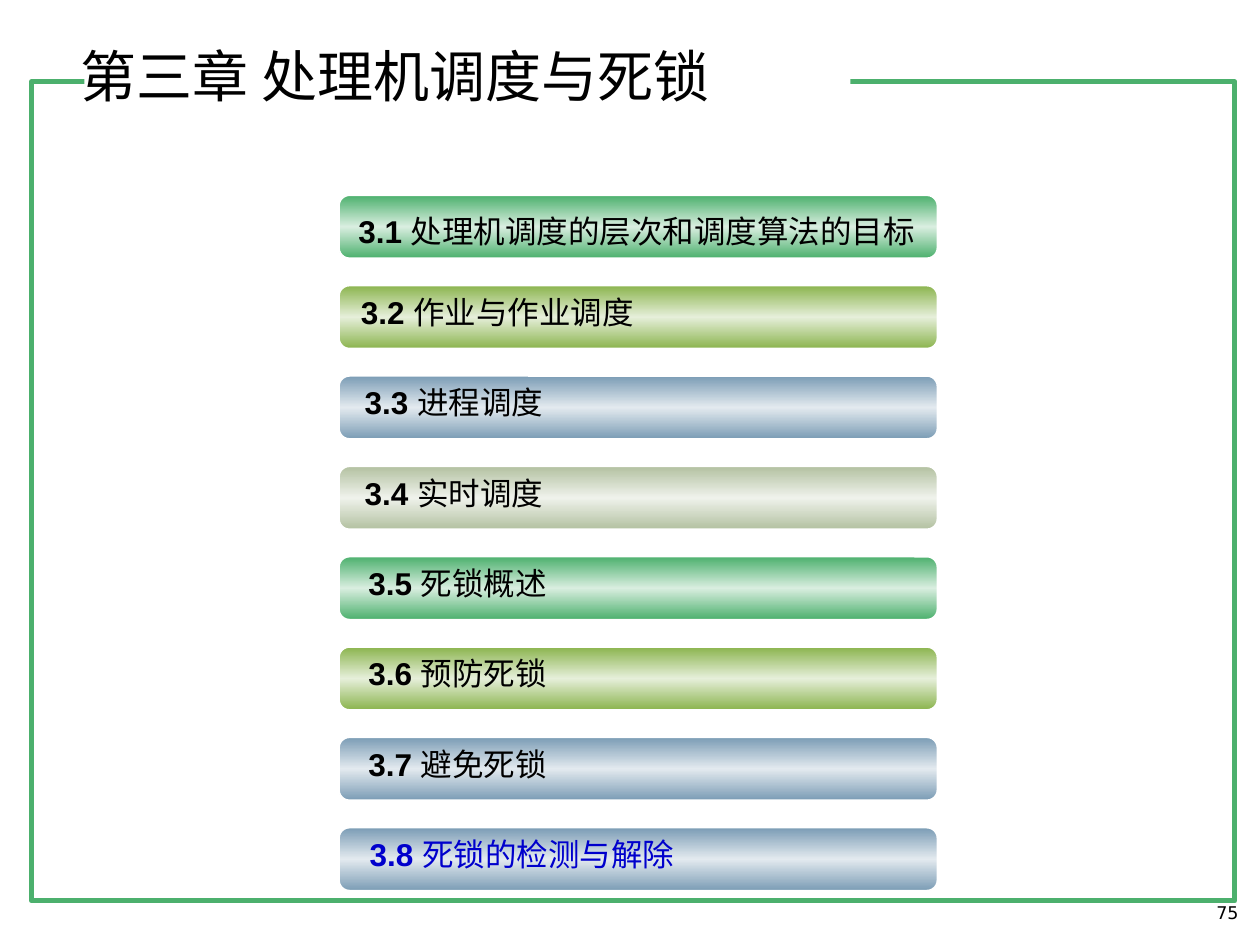
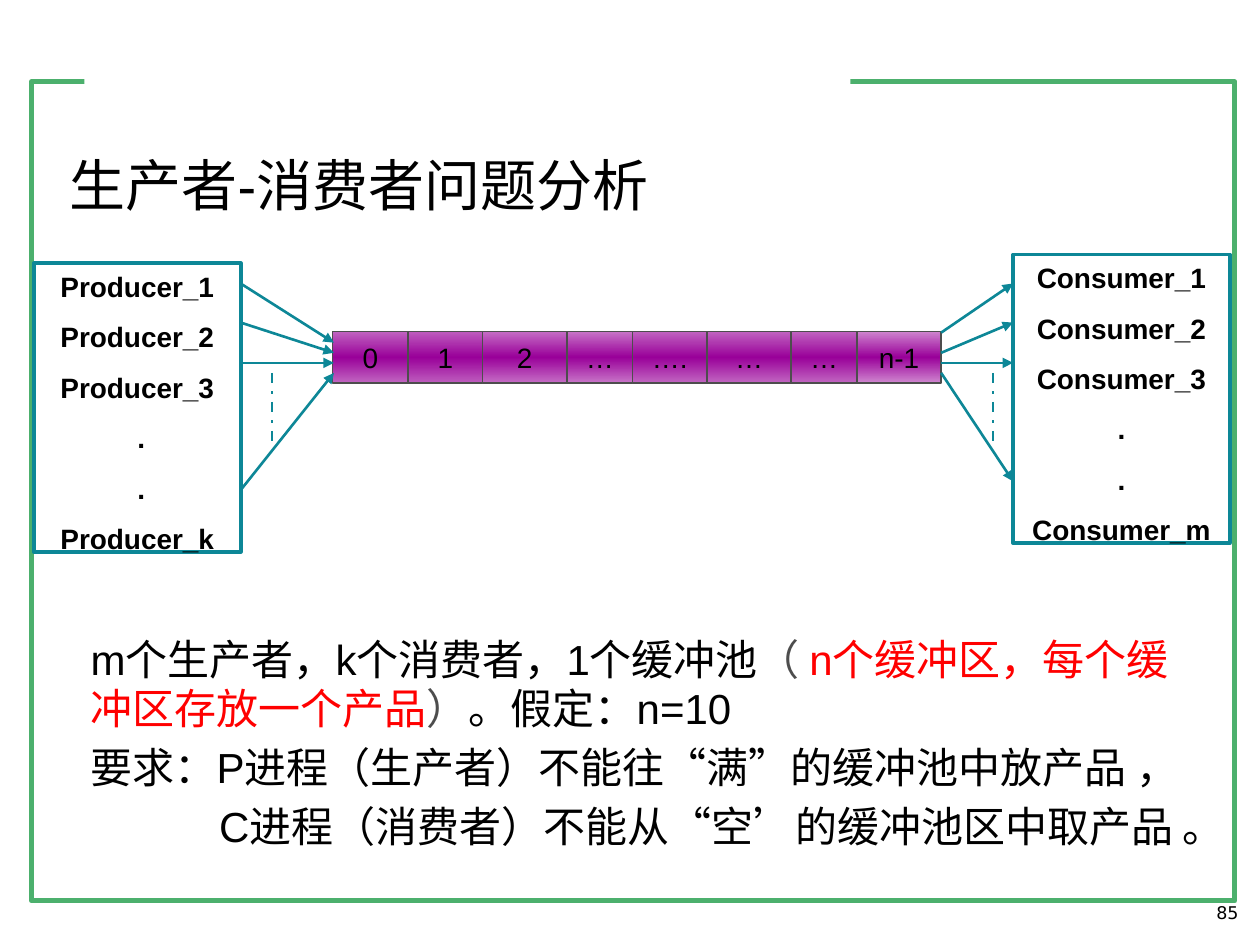
from copy import deepcopy
from dataclasses import dataclass

from pptx import Presentation, util as u
from pptx.dml.color import RGBColor
from pptx.enum import dml, shapes, text
from pptx.oxml import parse_xml
from pptx.oxml.ns import nsdecls, qn


@dataclass(frozen=True)
class Theme:
    latin: str = "Arial"
    cjk: str = "Noto Sans CJK SC"
    number_font: str = "DejaVu Sans"
    ink: str = "000000"
    paper: str = "FFFFFF"
    gray: str = "4D4D4D"
    red: str = "FF0000"
    current: str = "0000CC"
    frame: str = "4CB06D"
    teal: str = "0D8797"
    buffer: str = "990099"
    green: tuple = ("4CB06D", "D9EEE0")
    olive: tuple = ("8BB44E", "E6EFDA")
    blue: tuple = ("7B9CB5", "E3EAEF")
    sage: tuple = ("B3C1A1", "EFF2EB")
    title_size: float = 32
    body_size: float = 24
    section_size: float = 18
    diagram_size: float = 16
    number_size: float = 10


def style_run(r, size, color, bold=False, latin=Theme.latin, cjk=Theme.cjk):
    r.font.size, r.font.bold, r.font.name = u.Pt(size), bold, latin
    r.font.color.rgb = RGBColor.from_string(color)
    r.font._element.find(qn("a:latin")).addnext(
        parse_xml(f'<a:ea {nsdecls("a")} typeface="{cjk}"/>'))


def write(tf, paras, align="LEFT", anchor="TOP", before=0, spacing=None,
          indents=None, insets=(0.05, 0.05, 0.05, 0.05), **fmt):
    """Fill a text frame; a paragraph is a string or a list of (text, format) runs."""
    tf.word_wrap, tf.auto_size = True, text.MSO_AUTO_SIZE.NONE
    tf.vertical_anchor = text.MSO_ANCHOR[anchor]
    (tf.margin_left, tf.margin_top,
     tf.margin_right, tf.margin_bottom) = map(u.Inches, insets)
    for i, para in enumerate(paras):
        p = tf.add_paragraph() if i else tf.paragraphs[0]
        p.alignment = text.PP_ALIGN[align]
        p.space_before = u.Pt(before if i else 0)
        if spacing:
            p.line_spacing = u.Pt(spacing)
        if indents and indents[i]:
            p._p.get_or_add_pPr().set("indent", str(u.Inches(indents[i])))
        for words, changes in [(para, {})] if isinstance(para, str) else para:
            r = p.add_run()
            r.text = words
            style_run(r, **{**fmt, **changes})


class Deck:
    """Draws on the current slide; lengths are columns and rows of a 100 x 75 grid."""
    COLS, ROWS = 100, 75

    def __init__(self, theme):
        self.theme = theme
        self.prs = Presentation()
        self.prs.slide_width, self.prs.slide_height = u.Inches(10), u.Inches(7.5)
        self.layout = self.prs.slide_layouts[5]
        self.slide = None

    def x(self, cols):
        return round(self.prs.slide_width * cols / self.COLS)

    def y(self, rows):
        return round(self.prs.slide_height * rows / self.ROWS)

    def place(self, box):
        left, top, width, height = box
        return self.x(left), self.y(top), self.x(width), self.y(height)

    def new_slide(self, title, title_box, number):
        first = self.slide is None
        self.slide = self.prs.slides.add_slide(self.layout)
        if first:
            self.frame_layout()
        sp = self.slide.shapes.title
        sp.left, sp.top, sp.width, sp.height = self.place(title_box)
        write(sp.text_frame, [title], anchor="MIDDLE",
              size=self.theme.title_size, color=self.theme.ink)
        self.text((75.5, 71.1, 23.3, 2.7), [number], align="RIGHT",
                  size=self.theme.number_size, color=self.theme.ink,
                  latin=self.theme.number_font)

    def frame_layout(self):
        """Put the green frame, and the gap for the title, behind every slide."""
        t = self.theme
        parts = (self.shape((2.5, 6.5, 95.5, 65), line=t.frame, weight=3),
                 self.shape((6.7, 2.1, 60.8, 11.9), fill=t.paper))
        for i, sp in enumerate(parts):
            sp.element.nvSpPr.cNvPr.id = 20 + i
            self.layout.shapes.element.insert(2 + i, sp.element)

    def shape(self, box, kind="RECTANGLE", fill=None, line=None, weight=1.0):
        """Add a preset shape; a pair of fill colours is a gradient edge and middle."""
        sp = self.slide.shapes.add_shape(shapes.MSO_SHAPE[kind], *self.place(box))
        sp.shadow.inherit = False
        if isinstance(fill, tuple):
            self.band(sp, *fill)
        elif fill:
            sp.fill.solid()
            sp.fill.fore_color.rgb = RGBColor.from_string(fill)
        else:
            sp.fill.background()
        if line:
            sp.line.color.rgb = RGBColor.from_string(line)
            sp.line.width = u.Pt(weight)
        else:
            sp.line.fill.background()
        return sp

    def band(self, sp, edge, middle):
        sp.fill.gradient()
        sp.fill.gradient_angle = 90
        stops = sp.element.spPr.find(qn("a:gradFill")).find(qn("a:gsLst"))
        stops.insert(1, deepcopy(stops[0]))
        for stop, color, at in zip(sp.fill.gradient_stops,
                                   (edge, middle, edge), (0, 0.5, 1)):
            stop.color.rgb = RGBColor.from_string(color)
            stop.position = at

    def text(self, box, paras, **fmt):
        sp = self.slide.shapes.add_textbox(*self.place(box))
        write(sp.text_frame, paras, **fmt)

    def line(self, start, end, arrow=False, dash=None):
        c = self.slide.shapes.add_connector(
            shapes.MSO_CONNECTOR.STRAIGHT, self.x(start[0]), self.y(start[1]),
            self.x(end[0]), self.y(end[1]))
        c.line.color.rgb = RGBColor.from_string(self.theme.teal)
        c.line.width = u.Pt(1.5)
        if dash:
            c.line.dash_style = dash
        if arrow:
            c.line._get_or_add_ln().append(
                parse_xml(f'<a:tailEnd {nsdecls("a")} type="triangle"/>'))
        c.element.spPr.append(parse_xml(f'<a:effectLst {nsdecls("a")}/>'))


def chapter_slide(deck):
    t = deck.theme
    deck.new_slide("第三章 处理机调度与死锁", (5.9, 2.1, 55.1, 7.7), "75")
    sections = [
        ("处理机调度的层次和调度算法的目标", t.green, 0.13),
        ("作业与作业调度", t.olive, 0.15),
        ("进程调度", t.blue, 0.18),
        ("实时调度", t.sage, 0.18),
        ("死锁概述", t.green, 0.21),
        ("预防死锁", t.olive, 0.21),
        ("避免死锁", t.blue, 0.21),
        ("死锁的检测与解除", t.blue, 0.22),
    ]
    for i, (name, fill, inset) in enumerate(sections):
        bar = deck.shape((26.9, 15.5 + 7.17 * i, 47.5, 5), "ROUNDED_RECTANGLE",
                         fill=fill, line=t.paper)
        top, bottom = (0.05, 0.13) if i else (0.11, 0.05)
        write(bar.text_frame, [[(f"3.{i + 1} ", {"bold": True}), (name, {})]],
              anchor="MIDDLE", insets=(inset, top, 0.05, bottom),
              size=t.section_size,
              color=t.current if i == len(sections) - 1 else t.ink)


def buffer_pool(deck, left, top, height):
    t = deck.theme
    cells = [("0", 6, "C165C1"), ("1", 5.9, "BE5DBE"), ("2", 6.7, "C56DC5"),
             ("…", 5.2, "C875C8"), ("….", 5.9, "C165C1"), ("…", 6.7, "C165C1"),
             ("…", 5.2, "C165C1"), ("n-1", 6.7, "CF86CF")]
    for label, width, edge in cells:
        cell = deck.shape((left, top, width, height), fill=(edge, t.buffer), line=t.gray)
        write(cell.text_frame, [label], align="CENTER", anchor="MIDDLE",
              size=t.diagram_size, color=t.ink)
        left += width


def process_box(deck, box, names):
    sp = deck.shape(box, line=deck.theme.teal, weight=2.25)
    write(sp.text_frame, names, align="CENTER", before=9.6, bold=True,
          size=deck.theme.diagram_size, color=deck.theme.ink)


def producer_consumer_slide(deck):
    t = deck.theme
    deck.new_slide("生产者-消费者问题分析", (5, 10.8, 90, 7.7), "85")
    buffer_pool(deck, 26.4, 26.3, 4.1)
    process_box(deck, (2.7, 20.9, 16.4, 22.9),
                ["Producer_1", "Producer_2", "Producer_3", " .", " .", "Producer_k"])
    process_box(deck, (80.4, 20.2, 17.2, 22.9),
                ["Consumer_1", "Consumer_2", "Consumer_3", ".", ".", "Consumer_m"])

    for y1, y2 in ((22.5, 27.2), (25.6, 28), (28.8, 28.8), (38.9, 29.6)):
        deck.line((19.1, y1), (26.5, y2), arrow=True)
    for y1, y2 in ((26.4, 22.5), (28, 25.6), (28.8, 28.8), (29.6, 38.2)):
        deck.line((74.7, y1), (80.4, y2), arrow=True)
    for x in (21.6, 78.8):
        deck.line((x, 29.6), (x, 35), dash=dml.MSO_LINE.DASH_DOT)

    gray, red = {"color": t.gray}, {"color": t.red}
    deck.text((6.7, 49.8, 89, 21.3), [
        [("m个生产者，k个消费者，1个缓冲池", {}), ("（ ", gray),
         ("n个缓冲区，每个缓冲区存放一个产品", red), ("）", gray),
         ("。假定：n=10", {})],
        "要求：P进程（生产者）不能往“满”的缓冲池中放产品 ，",
        "C进程（消费者）不能从“空’的缓冲池区中取产品 。",
    ], before=5, spacing=28.5, indents=(0, 0, 1.02),
        size=t.body_size, color=t.ink)


def main():
    deck = Deck(Theme())
    chapter_slide(deck)
    producer_consumer_slide(deck)
    deck.prs.save("out.pptx")


if __name__ == "__main__":
    main()
